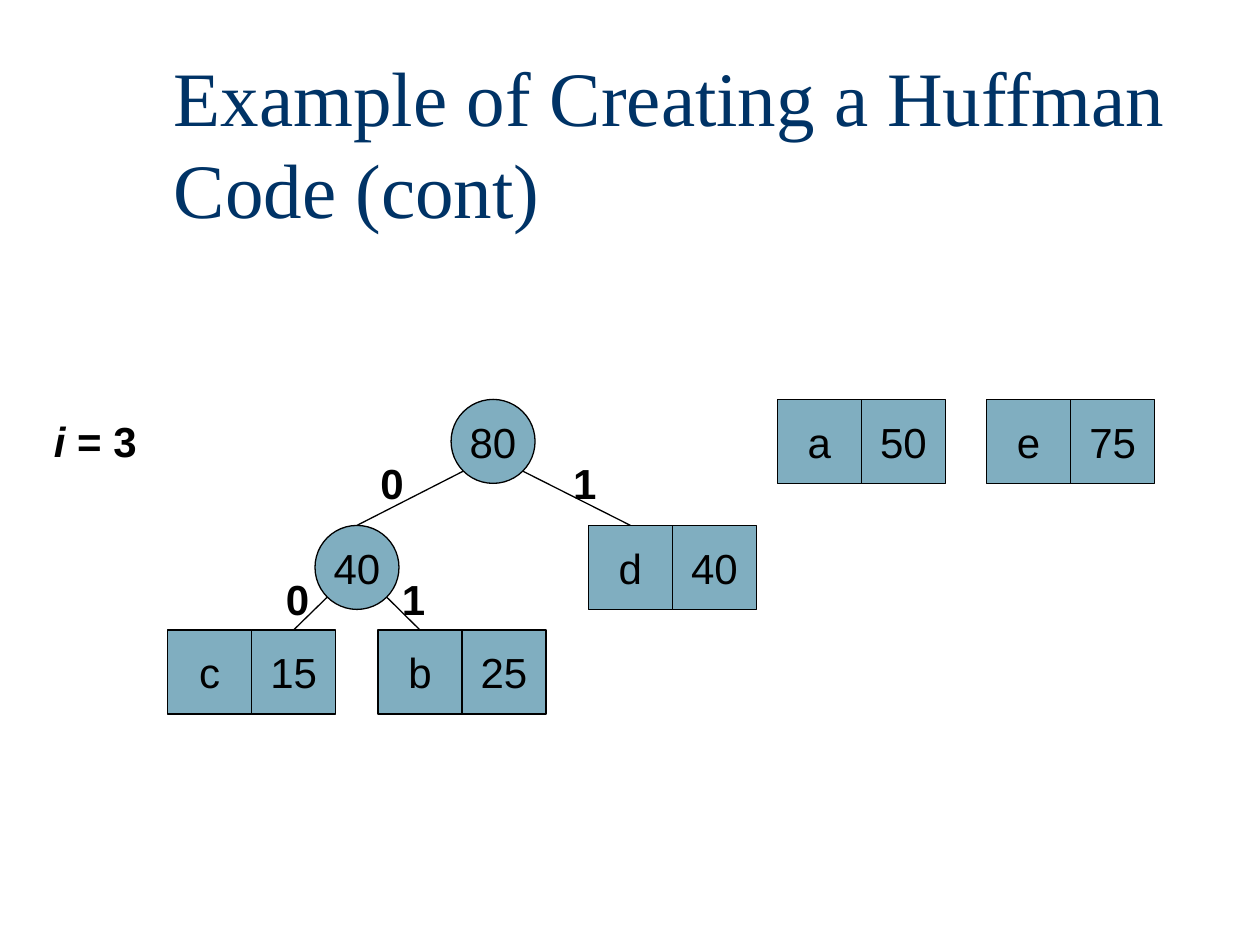
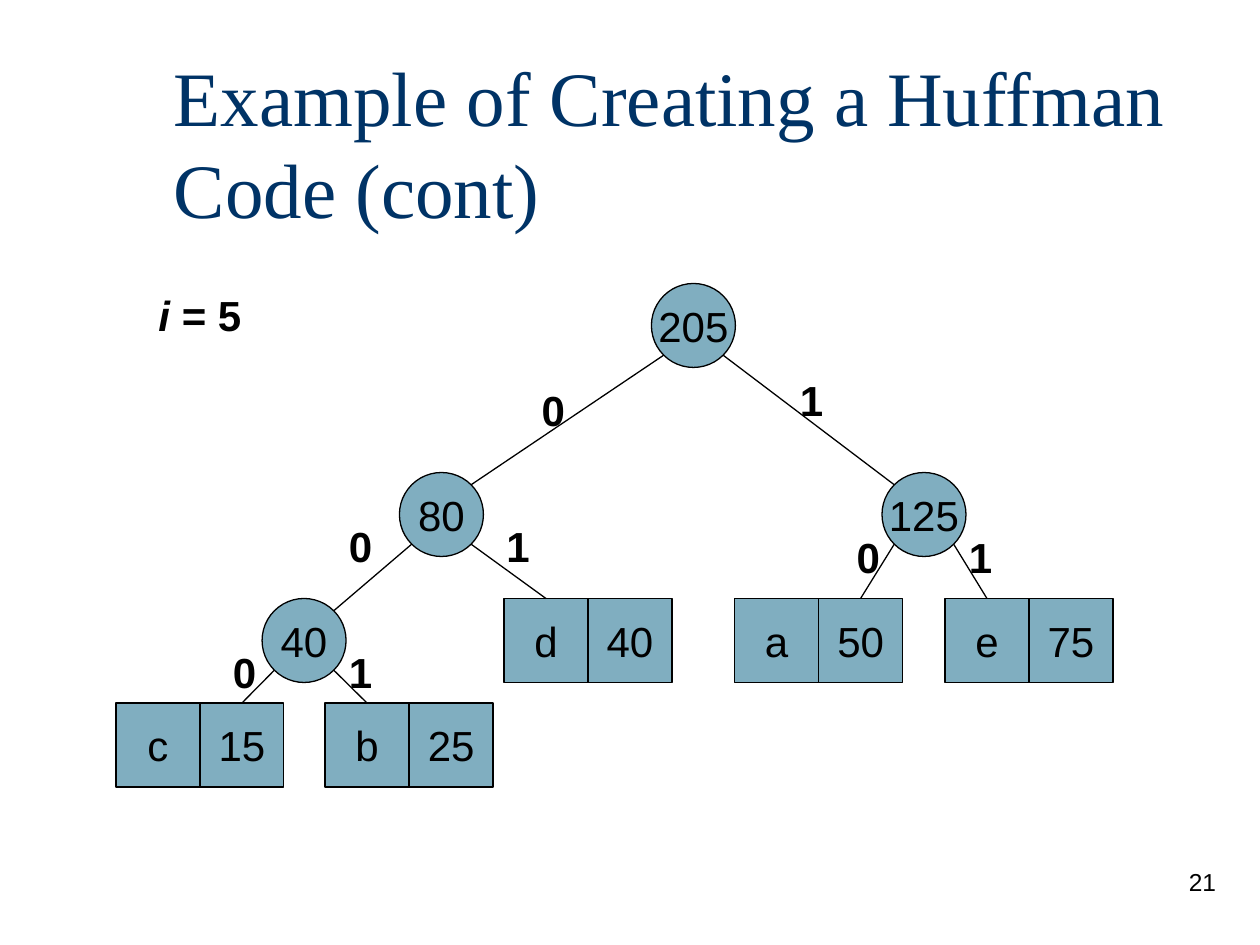
from lxml.etree import SubElement
from pptx import Presentation
from pptx.dml.color import RGBColor
from pptx.enum.shapes import MSO_CONNECTOR as CONN, MSO_SHAPE as SHAPE
from pptx.enum.text import MSO_ANCHOR as ANCHOR, MSO_AUTO_SIZE as AUTO, PP_ALIGN as ALIGN
from pptx.oxml.ns import qn
from pptx.util import Inches, Pt

BLACK = RGBColor(0, 0, 0)
NAVY = RGBColor(0, 0x33, 0x66)
STEEL = RGBColor(0x80, 0xAE, 0xC0)
TITLE = "Example of Creating a Huffman Code (cont)"
WEIGHTS = {"a": 50, "b": 25, "c": 15, "d": 40, "e": 75}
CELL = Inches(2 / 3)
DIAGONAL = 0.5 ** 0.5

STEPS = [
    dict(
        count=3, count_at=(0.33, 3.25), page=None,
        leaves={"a": (6.17, 3.17), "e": (7.83, 3.17), "d": (4.67, 4.17),
                "c": (1.33, 5), "b": (3, 5)},
        sums={80: (3.58, 3.17), 40: (2.5, 4.17)},
        edges=[(80, 0, 40, "top", (2.92, 3.58)), (80, 1, "d", "top", (4.45, 3.58)),
               (40, 0, "c", "top", (2.17, 4.5)), (40, 1, "b", "top", (3.09, 4.5))],
    ),
    dict(
        count=5, count_at=(1.16, 2.25), page="21",
        leaves={"d": (4, 4.75), "c": (0.92, 5.58), "b": (2.58, 5.58),
                "a": (5.83, 4.75), "e": (7.5, 4.75)},
        sums={205: (5.17, 2.25), 80: (3.17, 3.75), 125: (7, 3.75), 40: (2.08, 4.75)},
        edges=[(205, 0, 80, "corner", (4.2, 3)), (205, 1, 125, "corner", (6.25, 2.92)),
               (80, 0, 40, "corner", (2.67, 4.08)), (80, 1, "d", "top", (3.92, 4.08)),
               (125, 0, "a", "top", (6.7, 4.17)), (125, 1, "e", "top", (7.59, 4.17)),
               (40, 0, "c", "top", (1.75, 5.08)), (40, 1, "b", "top", (2.67, 5.08))],
    ),
]


def write(sp, text, font="Arial", size=24, color=BLACK, bold=False, italic=False,
          align=ALIGN.LEFT, anchor=ANCHOR.TOP, wrap=False):
    tf = sp.text_frame
    tf.auto_size = AUTO.NONE
    tf.word_wrap = wrap
    tf.vertical_anchor = anchor
    p = tf.paragraphs[0]
    p.alignment = align
    r = p.add_run()
    r.text = text
    r.font.name, r.font.size, r.font.color.rgb = font, Pt(size), color
    r.font.bold, r.font.italic = bold, italic
    return p


def add_node(s, kind, left, top, text):
    sp = s.shapes.add_shape(kind, left, top, CELL, CELL)
    sp.shadow.inherit = False
    sp.fill.solid()
    sp.fill.fore_color.rgb = STEEL
    sp.line.color.rgb = BLACK
    sp.line.width = Pt(0.75)
    write(sp, str(text), align=ALIGN.CENTER, anchor=ANCHOR.MIDDLE)
    return sp


prs = Presentation()
prs.slide_width, prs.slide_height = Inches(10), Inches(7.5)

for step in STEPS:
    s = prs.slides.add_slide(prs.slide_layouts[5])
    title = s.shapes.title
    title.left, title.top = Inches(1.28), Inches(0.5)
    title.width, title.height = Inches(8.5), Inches(1.25)
    write(title, TITLE, font="Times New Roman", size=44, color=NAVY,
          anchor=ANCHOR.MIDDLE, wrap=True)

    x, y = step["count_at"]
    counter = s.shapes.add_textbox(Inches(x), Inches(y), Inches(0.86), Inches(0.5))
    write(counter, "i", bold=True, italic=True)
    write(counter, f" = {step['count']}", bold=True)

    if step["page"]:
        number = s.shapes.add_textbox(Inches(7.67), Inches(6.83), Inches(2.08), Inches(0.5))
        p = write(number, step["page"], size=14, align=ALIGN.RIGHT, wrap=True)
        p.space_before = Pt(8.8)

    nodes = {}
    for letter, (x, y) in step["leaves"].items():
        left, top = Inches(x), Inches(y)
        symbol = add_node(s, SHAPE.RECTANGLE, left, top, letter)
        weight = add_node(s, SHAPE.RECTANGLE, left + CELL, top, WEIGHTS[letter])
        nodes[letter] = (weight, symbol)
    for total, (x, y) in step["sums"].items():
        circle = add_node(s, SHAPE.OVAL, Inches(x), Inches(y), total)
        nodes[total] = (circle, circle)

    for parent, bit, child, end, (x, y) in step["edges"]:
        start, target = nodes[parent][bit], nodes[child][bit]
        side = 1 if bit else -1
        reach = int(CELL / 2 * DIAGONAL)
        mid = CELL // 2
        line = s.shapes.add_connector(
            CONN.STRAIGHT,
            start.left + mid + side * reach, start.top + mid + reach,
            target.left + mid - side * reach, target.top + mid - reach)
        if end == "top":
            line.end_connect(target, 0)
        line.line.color.rgb = BLACK
        line.line.width = Pt(0.75)
        SubElement(line._element.spPr, qn("a:effectLst"))
        label = s.shapes.add_textbox(Inches(x), Inches(y), Inches(0.38), Inches(0.5))
        write(label, str(bit), bold=True)

prs.save("out.pptx")
